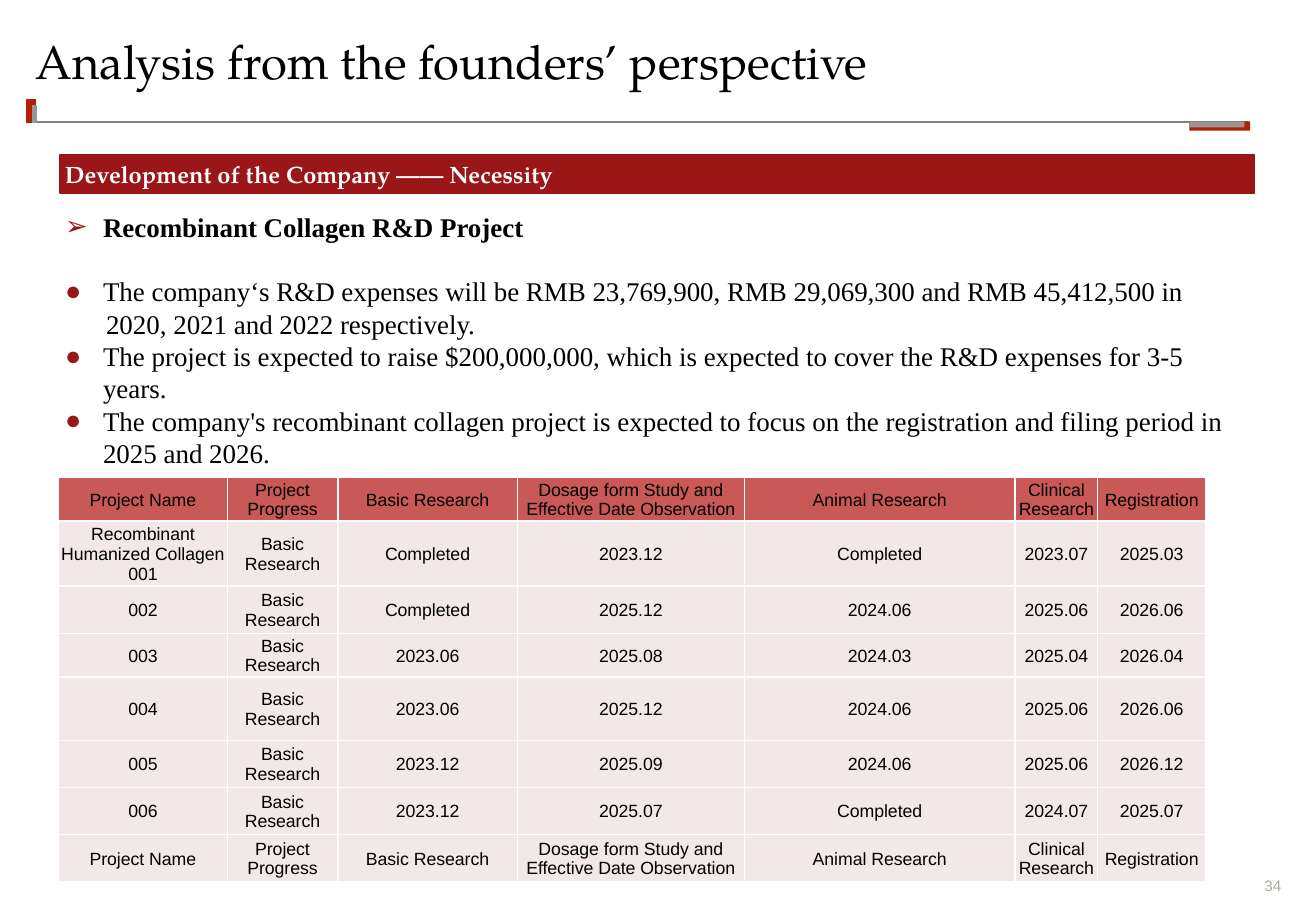
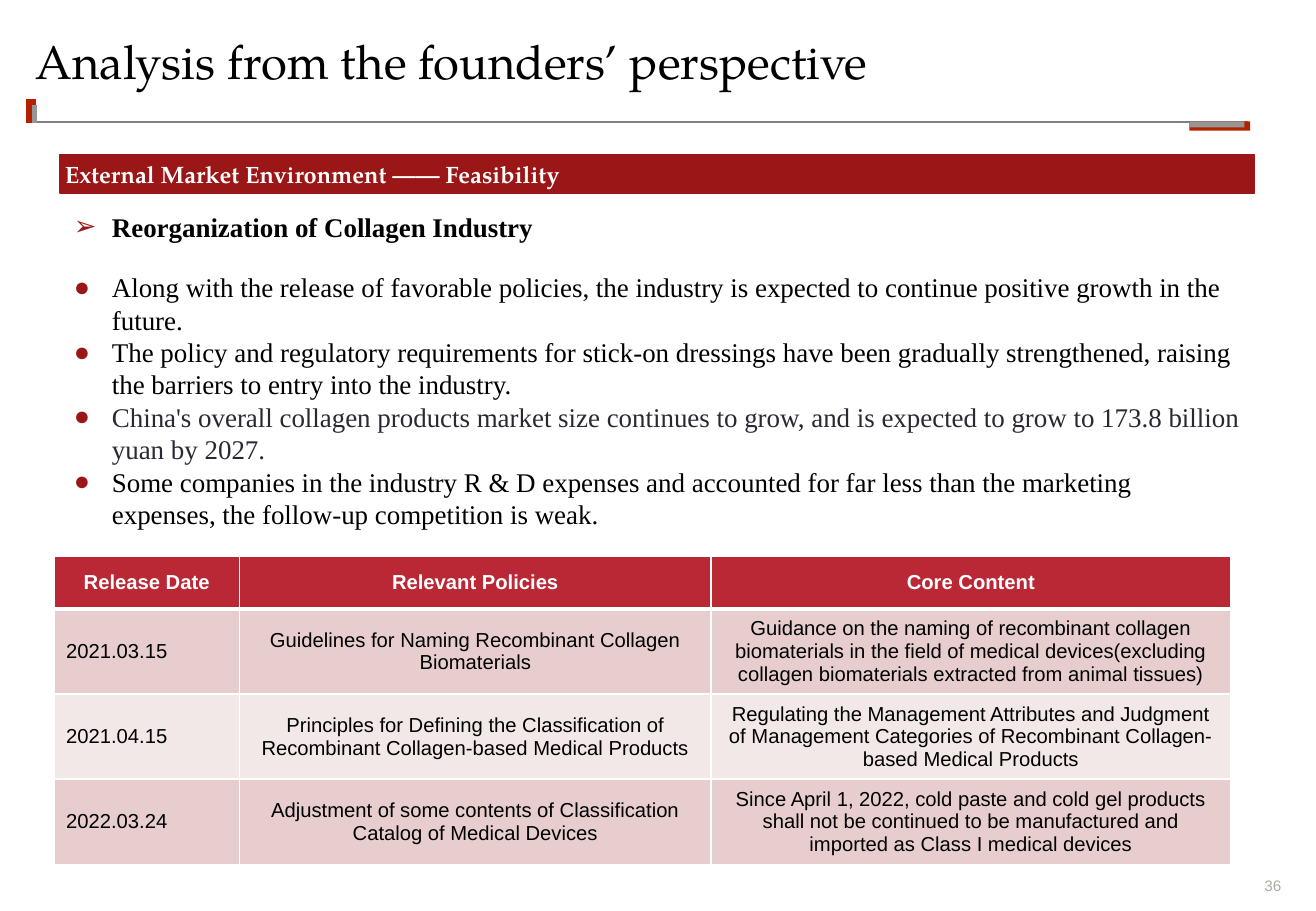
"""Build two slides on the founders' perspective: company necessity and market feasibility."""
import pptx
import pptx.dml.color
import pptx.enum.shapes
import pptx.enum.text
import pptx.oxml
import pptx.oxml.ns
import pptx.util
from lxml import etree

Pt = pptx.util.Pt
ALIGN = pptx.enum.text.PP_ALIGN
ANCHOR = pptx.enum.text.MSO_ANCHOR
RECTANGLE = pptx.enum.shapes.MSO_SHAPE.RECTANGLE
STRAIGHT = pptx.enum.shapes.MSO_CONNECTOR.STRAIGHT
qn = pptx.oxml.ns.qn

SERIF, SANS, DISPLAY = "Times New Roman", "Arial", "TeX Gyre Pagella"
BLACK, WHITE, CRIMSON = "000000", "FFFFFF", "9B1717"
RUST, SILVER, RULE_GREY, NUMBER_GREY = "B42100", "969696", "808080", "ADABA1"
PALE, ROSE = "F3E8E8", "E7CDCE"
TEXT_INDENT, HANGING = 48.25, 22.5


def color(hex_string):
    """Turn a hex string into a colour."""
    return pptx.dml.color.RGBColor.from_string(hex_string)


def write(frame, text, size=16, font=SERIF, ink=BLACK, bold=False, align=ALIGN.LEFT,
          anchor=ANCHOR.TOP, margins=None, spacing=None, before=None, bullet=None, indent=None):
    """Add one formatted paragraph to a text frame."""
    frame.word_wrap = True
    frame.vertical_anchor = anchor
    if margins:
        (frame.margin_left, frame.margin_top,
         frame.margin_right, frame.margin_bottom) = [Pt(margin) for margin in margins]
    paragraph = frame.add_paragraph() if frame.text else frame.paragraphs[0]
    paragraph.alignment = align
    properties = paragraph._p.get_or_add_pPr()
    if indent:
        properties.set("marL", str(Pt(indent)))
        properties.set("indent", str(Pt(-HANGING if bullet else 0)))
    if bullet:
        tint = etree.SubElement(properties, qn("a:buClr"))
        etree.SubElement(tint, qn("a:srgbClr"), val=CRIMSON)
        etree.SubElement(properties, qn("a:buFont"), typeface=SANS)
        etree.SubElement(properties, qn("a:buChar"), char=bullet)
    if spacing:
        paragraph.line_spacing = spacing
    if before:
        paragraph.space_before = Pt(before)
    run = paragraph.add_run()
    run.text = text
    run.font.size = Pt(size)
    run.font.name = font
    run.font.bold = bold
    run.font.color.rgb = color(ink)


project_header = ["Project Name", "Project Progress", "Basic Research",
                  "Dosage form Study and Effective Date Observation",
                  "Animal Research", "Clinical Research", "Registration"]
project_dates = [
    ["Recombinant Humanized Collagen 001", "Completed", "2023.12", "Completed", "2023.07", "2025.03"],
    ["002", "Completed", "2025.12", "2024.06", "2025.06", "2026.06"],
    ["003", "2023.06", "2025.08", "2024.03", "2025.04", "2026.04"],
    ["004", "2023.06", "2025.12", "2024.06", "2025.06", "2026.06"],
    ["005", "2023.12", "2025.09", "2024.06", "2025.06", "2026.12"],
    ["006", "2023.12", "2025.07", "Completed", "2024.07", "2025.07"],
]
projects = [[name, "Basic Research", *dates] for name, *dates in project_dates]

necessity = {
    "number": "34",
    "band": "Development of the Company —— Necessity",
    "topic": "Recombinant Collagen R&D Project",
    "points_box": (5.75, 121, 738, 201),
    "gap": 19.2,
    "points": [
        ("The company‘s R&D expenses will be RMB 23,769,900, RMB 29,069,300 and RMB 45,412,500 in",
         {"bullet": "●"}),
        ("2020, 2021 and 2022 respectively.", {"indent": 50}),
        ("The project is expected to raise $200,000,000, which is expected to cover "
         "the R&D expenses for 3-5 years.", {"bullet": "●"}),
        ("The company's recombinant collagen project is expected to focus on the "
         "registration and filing period in 2025 and 2026.", {"bullet": "●"}),
    ],
    "rows": [project_header, *projects, project_header],
    "table_at": (34.75, 283),
    "widths": [100, 65.5, 106.5, 134.5, 160.5, 49, 64],
    "heights": [25.5, 38.5, 28, 25.5, 37.5, 28, 28, 28],
    "fills": ["C95956"] + [PALE] * 7,
    "cell": {"size": 10.5, "margins": (0.75, 0.75, 0.75, 0)},
    "header": {},
    "first_column": ALIGN.CENTER,
    "header_rule": 1,
}

feasibility = {
    "number": "36",
    "band": "External Market Environment —— Feasibility",
    "topic": "Reorganization of Collagen Industry",
    "points_box": (11, 121, 732, 314.5),
    "gap": 16.8,
    "points": [
        ("Along with the release of favorable policies, the industry is expected to continue "
         "positive growth in the future.", {"bullet": "●"}),
        ("The policy and regulatory requirements for stick-on dressings have been gradually "
         "strengthened, raising the barriers to entry into the industry.", {"bullet": "●"}),
        ("China's overall collagen products market size continues to grow, and is expected "
         "to grow to 173.8 billion yuan by 2027.", {"bullet": "●", "ink": "292934"}),
        ("Some companies in the industry R & D expenses and accounted for far less than the "
         "marketing expenses, the follow-up competition is weak.", {"bullet": "●"}),
    ],
    "rows": [
        ["Release Date", "Relevant Policies", "Core Content"],
        ["2021.03.15", "Guidelines for Naming Recombinant Collagen Biomaterials",
         "Guidance on the naming of recombinant collagen biomaterials in the field of medical "
         "devices(excluding collagen biomaterials extracted from animal tissues)"],
        ["2021.04.15", "Principles for Defining the Classification of Recombinant "
         "Collagen-based Medical Products",
         "Regulating the Management Attributes and Judgment of Management Categories of "
         "Recombinant Collagen-based Medical Products"],
        ["2022.03.24", "Adjustment of some contents of Classification Catalog of Medical Devices",
         "Since April 1, 2022, cold paste and cold gel products shall not be continued to be "
         "manufactured and imported as Class I medical devices"],
    ],
    "table_at": (32, 330),
    "widths": [110, 279.5, 308],
    "heights": [31, 50.4, 50.4, 50.4],
    "fills": ["BA2835", ROSE, PALE, ROSE],
    "cell": {"size": 12},
    "header": {"ink": WHITE, "bold": True},
    "first_column": ALIGN.LEFT,
    "header_rule": 3,
}

deck = pptx.Presentation()
deck.slide_width, deck.slide_height = Pt(780), Pt(540)

for content in (necessity, feasibility):
    slide = deck.slides.add_slide(deck.slide_layouts[6])
    shapes = slide.shapes

    page_number = shapes.add_textbox(Pt(737.5), Pt(519), Pt(22), Pt(11))
    write(page_number.text_frame, content["number"], size=9, font=SANS, ink=NUMBER_GREY,
          align=ALIGN.RIGHT, anchor=ANCHOR.BOTTOM, margins=(0, 0, 0, 0))

    for x1, y1, x2, y2, ink, weight in [(21.5, 72.5, 740, 72.5, RULE_GREY, 1),
                                        (18.5, 73, 18.5, 58.5, RUST, 6),
                                        (20.5, 73, 20.5, 62, SILVER, 3)]:
        rule = shapes.add_connector(STRAIGHT, Pt(x1), Pt(y1), Pt(x2), Pt(y2))
        rule.line.color.rgb = color(ink)
        rule.line.width = Pt(weight)
        etree.SubElement(rule._element.spPr, qn("a:effectLst"))

    for width, height, ink in [(36, 5.5, RUST), (32.5, 3.5, SILVER)]:
        corner = shapes.add_shape(RECTANGLE, Pt(705), Pt(72), Pt(width), Pt(height))
        corner.shadow.inherit = False
        corner.fill.solid()
        corner.fill.fore_color.rgb = color(ink)
        corner.line.fill.background()

    title = shapes.add_textbox(Pt(21), Pt(23), Pt(738), Pt(48))
    write(title.text_frame, "Analysis from the founders’ perspective", size=28, font=DISPLAY,
          margins=(0, 0, 0, 0), spacing=0.9)

    band = shapes.add_shape(RECTANGLE, Pt(35.5), Pt(91.5), Pt(708), Pt(23))
    band.shadow.inherit = False
    band.fill.solid()
    band.fill.fore_color.rgb = color(CRIMSON)
    band.line.color.rgb = color(CRIMSON)
    band.line.width = Pt(1)
    write(band.text_frame, content["band"], size=14, font=DISPLAY, ink=WHITE, bold=True,
          anchor=ANCHOR.MIDDLE, margins=(3, 3, 3, 3))

    points = shapes.add_textbox(*[Pt(length) for length in content["points_box"]]).text_frame
    write(points, content["topic"], bold=True, bullet="➢", indent=TEXT_INDENT, spacing=Pt(19.2))
    for position, (point, style) in enumerate(content["points"]):
        write(points, point, spacing=Pt(19.2), before=0 if position else content["gap"],
              **{"indent": TEXT_INDENT, **style})

    rows, widths, heights = content["rows"], content["widths"], content["heights"]
    left, top = content["table_at"]
    table = shapes.add_table(len(rows), len(widths), Pt(left), Pt(top),
                             Pt(sum(widths)), Pt(sum(heights))).table
    for column, width in zip(table.columns, widths):
        column.width = Pt(width)
    for row_index, row in enumerate(rows):
        table.rows[row_index].height = Pt(heights[row_index])
        for column_index, entry in enumerate(row):
            cell = table.cell(row_index, column_index)
            centred = row_index == 0 or column_index > 0
            style = {**content["cell"], **(content["header"] if row_index == 0 else {})}
            margins = style.pop("margins", (7.2, 3.6, 7.2, 3.6))
            write(cell.text_frame, entry, font=SANS,
                  align=ALIGN.CENTER if centred else content["first_column"], **style)
            cell.vertical_anchor = ANCHOR.MIDDLE
            (cell.margin_left, cell.margin_top,
             cell.margin_right, cell.margin_bottom) = [Pt(margin) for margin in margins]
            cell_properties = cell._tc.get_or_add_tcPr()
            for side in ("L", "R", "T", "B"):
                under_header = (row_index, side) in ((0, "B"), (1, "T"))
                weight = content["header_rule"] if under_header else 1
                border = etree.SubElement(cell_properties, qn(f"a:ln{side}"), w=str(Pt(weight)))
                border_fill = etree.SubElement(border, qn("a:solidFill"))
                etree.SubElement(border_fill, qn("a:srgbClr"), val=WHITE)
            cell.fill.solid()
            cell.fill.fore_color.rgb = color(content["fills"][row_index])

deck.save("out.pptx")
